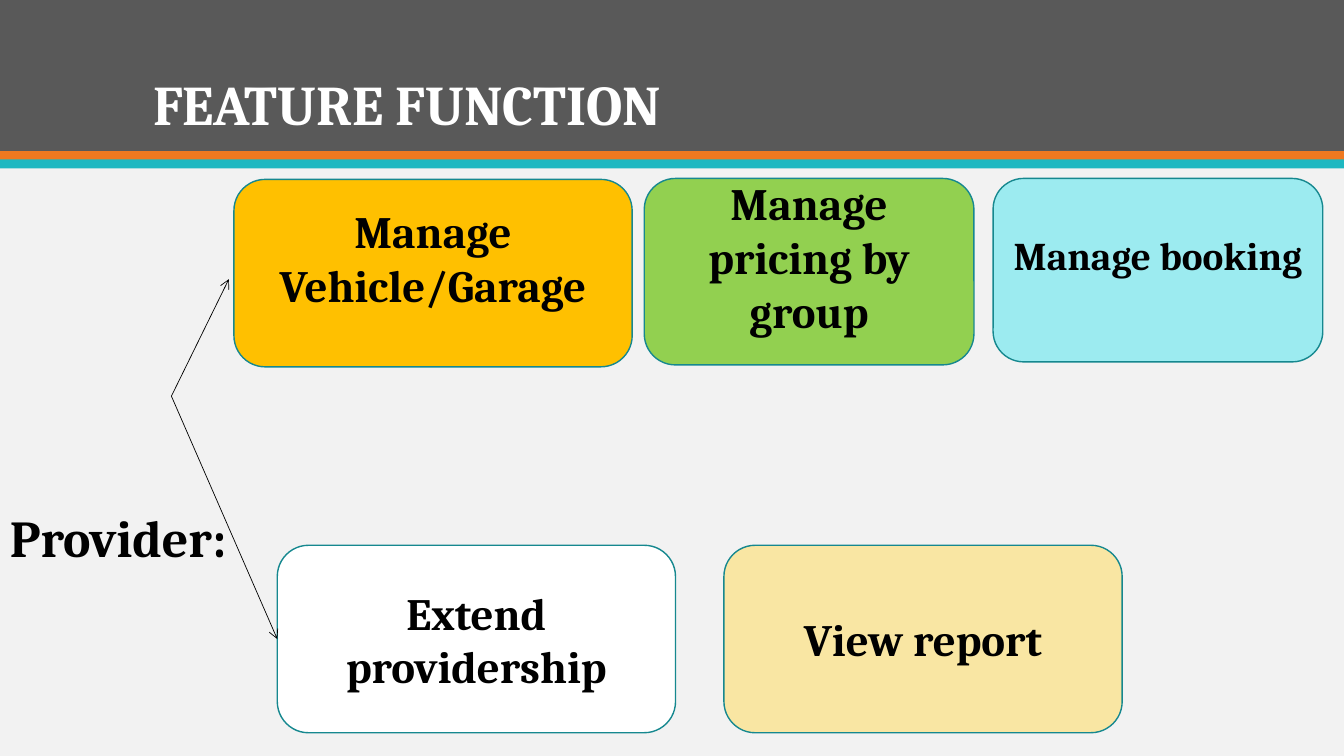
from dataclasses import dataclass

from lxml import etree
from pptx import Presentation
from pptx import util as u
from pptx.dml.color import RGBColor
from pptx.enum import shapes, text
from pptx.oxml import ns

FONT = "Cambria"
BLACK = RGBColor(0x00, 0x00, 0x00)
WHITE = RGBColor(0xFF, 0xFF, 0xFF)
PAPER = RGBColor(0xF2, 0xF2, 0xF2)
GRAY = RGBColor(0x59, 0x59, 0x59)
ORANGE = RGBColor(0xEF, 0x79, 0x20)
TEAL = RGBColor(0x1E, 0xB8, 0xC1)
OUTLINE = RGBColor(0x16, 0x88, 0x8F)
AMBER = RGBColor(0xFF, 0xC0, 0x00)
GREEN = RGBColor(0x92, 0xD0, 0x50)
AQUA = RGBColor(0x9C, 0xEB, 0xF0)
CREAM = RGBColor(0xF9, 0xE6, 0xA3)

SLIDE_WIDTH = 13.33
LEFT_SIDE = 1
RAISED = 0.35  # bottom inset that lifts the text of the upper row
NORMAL = 0.05


@dataclass
class Band:
    top: float
    height: float
    color: RGBColor


@dataclass
class Label:
    wording: str
    left: float
    top: float
    width: float
    height: float
    size: int
    color: RGBColor
    spacing: float


@dataclass
class Feature:
    wording: str
    left: float
    top: float
    width: float
    height: float
    fill: RGBColor
    bottom_inset: float
    size: int = 32


BANDS = [Band(0, 1.5, GRAY), Band(1.5, 0.09, ORANGE), Band(1.58, 0.09, TEAL)]
LABELS = [
    Label("FEATURE FUNCTION", 1.42, 0.28, 10.5, 1.13, 40, WHITE, 0.9),
    Label("Provider:", 0, 5.1, 2.44, 0.57, 37, BLACK, 0.7),
]
VEHICLE = Feature("Manage Vehicle/Garage", 2.32, 1.78, 3.95, 1.86, AMBER, RAISED)
PRICING = Feature("Manage pricing by group", 6.39, 1.77, 3.27, 1.85, GREEN, RAISED)
BOOKING = Feature("Manage booking", 9.85, 1.77, 3.27, 1.82, AQUA, RAISED, 28)
EXTEND = Feature("Extend providership", 2.75, 5.41, 3.95, 1.86, WHITE, NORMAL)
REPORT = Feature("View report", 7.18, 5.41, 3.95, 1.86, CREAM, NORMAL)
ARROW_START = (1.7, 3.93)


def write(frame, wording: str, size: int, color: RGBColor):
    """Put one bold paragraph in a frame and return it."""
    frame.word_wrap = True
    para = frame.paragraphs[0]
    para.text = wording
    font = para.runs[0].font
    font.name, font.size, font.bold = FONT, u.Pt(size), True
    font.color.rgb = color
    return para


def add_band(page, band: Band) -> None:
    box = page.shapes.add_shape(
        shapes.MSO_SHAPE.RECTANGLE, 0, u.Inches(band.top),
        u.Inches(SLIDE_WIDTH), u.Inches(band.height))
    box.shadow.inherit = False
    box.fill.solid()
    box.fill.fore_color.rgb = band.color
    box.line.fill.background()


def add_label(page, label: Label) -> None:
    box = page.shapes.add_textbox(
        u.Inches(label.left), u.Inches(label.top),
        u.Inches(label.width), u.Inches(label.height))
    box.text_frame.vertical_anchor = text.MSO_ANCHOR.BOTTOM
    para = write(box.text_frame, label.wording, label.size, label.color)
    para.line_spacing = label.spacing


def add_feature(page, feature: Feature):
    box = page.shapes.add_shape(
        shapes.MSO_SHAPE.ROUNDED_RECTANGLE,
        u.Inches(feature.left), u.Inches(feature.top),
        u.Inches(feature.width), u.Inches(feature.height))
    box.shadow.inherit = False
    box.fill.solid()
    box.fill.fore_color.rgb = feature.fill
    box.line.color.rgb = OUTLINE
    box.line.width = u.Pt(1)
    frame = box.text_frame
    frame.vertical_anchor = text.MSO_ANCHOR.MIDDLE
    frame.margin_bottom = u.Inches(feature.bottom_inset)
    para = write(frame, feature.wording, feature.size, BLACK)
    para.alignment = text.PP_ALIGN.CENTER
    return box


def add_arrow(page, end_x: float, end_y: float):
    start_x, start_y = ARROW_START
    arrow = page.shapes.add_connector(
        shapes.MSO_CONNECTOR.STRAIGHT, u.Inches(start_x), u.Inches(start_y),
        u.Inches(end_x), u.Inches(end_y))
    arrow.line.color.rgb = BLACK
    arrow.line.width = u.Pt(0.5)
    outline = arrow.line._get_or_add_ln()
    etree.SubElement(outline, ns.qn("a:tailEnd"), type="arrow")
    etree.SubElement(arrow._element.spPr, ns.qn("a:effectLst"))
    return arrow


def main() -> None:
    deck = Presentation()
    deck.slide_width, deck.slide_height = u.Inches(SLIDE_WIDTH), u.Inches(7.5)
    page = deck.slides.add_slide(deck.slide_layouts[6])
    page.background.fill.solid()
    page.background.fill.fore_color.rgb = PAPER

    # Header bands, title and role
    for band in BANDS:
        add_band(page, band)
    for label in LABELS:
        add_label(page, label)

    # Feature boxes
    for feature in (VEHICLE, PRICING, BOOKING, REPORT):
        add_feature(page, feature)
    extend_box = add_feature(page, EXTEND)

    # Arrows to the first box of each row
    add_arrow(page, 2.27, 2.77)
    lower_arrow = add_arrow(page, EXTEND.left, EXTEND.top + EXTEND.height / 2)
    lower_arrow.end_connect(extend_box, LEFT_SIDE)

    deck.save("out.pptx")


if __name__ == "__main__":
    main()
